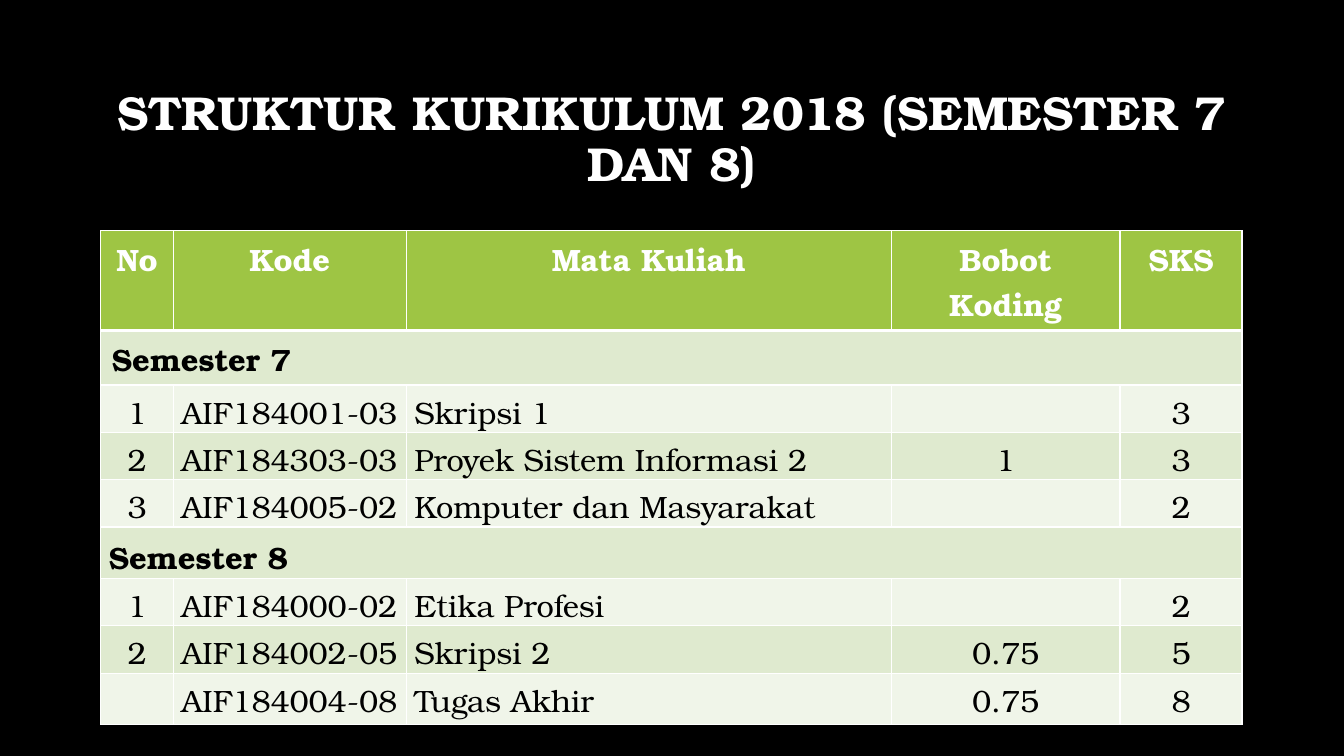
from dataclasses import dataclass

from lxml import etree
from pptx import Presentation
from pptx import util as u
from pptx.dml.color import RGBColor
from pptx.enum import text
from pptx.oxml import ns

Inches, Pt = u.Inches, u.Pt


@dataclass(frozen=True)
class Theme:
    font: str = "TeX Gyre Bonum"
    title_size: int = 34
    table_size: int = 22
    background: str = "000000"
    light: str = "FFFFFF"
    dark: str = "000000"
    header: str = "9EC544"
    bands: tuple = ("F0F5E9", "DFEACF")
    line: float = 1
    header_line: float = 3


THEME = Theme()
CENTER, LEFT = text.PP_ALIGN.CENTER, text.PP_ALIGN.LEFT

TITLE = "STRUKTUR KURIKULUM 2018 (SEMESTER 7 DAN 8)"
HEADINGS = ["No", "Kode", "Mata Kuliah", "Bobot Koding", "SKS"]
# A row with a single entry is a semester heading across the whole table.
ROWS = [
    ["Semester 7"],
    ["1", "AIF184001-03", "Skripsi 1", "", "3"],
    ["2", "AIF184303-03", "Proyek Sistem Informasi 2", "1", "3"],
    ["3", "AIF184005-02", "Komputer dan Masyarakat", "", "2"],
    ["Semester 8"],
    ["1", "AIF184000-02", "Etika Profesi", "", "2"],
    ["2", "AIF184002-05", "Skripsi 2", "0.75", "5"],
    ["", "AIF184004-08", "Tugas Akhir", "0.75", "8"],
]
COLUMN_WIDTHS = [0.72, 2.31, 4.81, 2.27, 1.21]
ROW_HEIGHTS = [0.99, 0.54, 0.47, 0.47, 0.47, 0.51, 0.47, 0.47, 0.51]
COLUMN_ALIGN = [CENTER, LEFT, LEFT, CENTER, CENTER]


def write(tf, content, size, color, bold=False, align=LEFT, spacing=1.0):
    p = tf.paragraphs[0]
    p.alignment = align
    p.line_spacing = spacing
    p.font.size = Pt(size)
    if content:
        r = p.add_run()
        r.text = content
        r.font.name = THEME.font
        r.font.size = Pt(size)
        r.font.bold = bold
        r.font.color.rgb = RGBColor.from_string(color)


def add_title(s):
    tf = s.shapes.add_textbox(Inches(1), Inches(0.67), Inches(11.32), Inches(1.45)).text_frame
    tf.word_wrap = True
    tf.vertical_anchor = text.MSO_ANCHOR.MIDDLE
    write(tf, TITLE, THEME.title_size, THEME.light, True, CENTER, 0.9)


def set_borders(cell, widths):
    """Draw left, right, top and bottom lines, given their widths in points."""
    tc_pr = cell._tc.get_or_add_tcPr()
    for side, width in zip("LRTB", widths):
        ln = etree.SubElement(tc_pr, ns.qn(f"a:ln{side}"), w=str(Pt(width)))
        fill = etree.SubElement(ln, ns.qn("a:solidFill"))
        etree.SubElement(fill, ns.qn("a:srgbClr"), val=THEME.light)


def style_cell(cell, fill, roomy=False, top=THEME.line, bottom=THEME.line):
    set_borders(cell, (THEME.line, THEME.line, top, bottom))
    cell.fill.solid()
    cell.fill.fore_color.rgb = RGBColor.from_string(fill)
    cell.margin_left = cell.margin_right = Inches(0.11 if roomy else 0.08)
    cell.margin_top = cell.margin_bottom = Inches(0.05 if roomy else 0)


def fill_header(table):
    for cell, heading in zip(table.rows[0].cells, HEADINGS):
        style_cell(cell, THEME.header, True, bottom=THEME.header_line)
        write(cell.text_frame, heading, THEME.table_size, THEME.light, True, CENTER)


def fill_row(table, index, values):
    cells = list(table.rows[index].cells)
    first = index == 1
    top = THEME.header_line if first else THEME.line
    for cell in cells:
        style_cell(cell, THEME.bands[index % 2], first, top=top)
    is_heading = len(values) == 1
    if is_heading:
        cells[0].merge(cells[-1])
    aligns = [LEFT] if is_heading else COLUMN_ALIGN
    for cell, value, align in zip(cells, values, aligns):
        write(cell.text_frame, value, THEME.table_size, THEME.dark,
              is_heading, align, 1.0 if first else 1.15)


def add_curriculum(s):
    table = s.shapes.add_table(
        len(ROW_HEIGHTS), len(HEADINGS), Inches(1), Inches(2.29),
        Inches(sum(COLUMN_WIDTHS)), Inches(sum(ROW_HEIGHTS))).table
    for column, width in zip(table.columns, COLUMN_WIDTHS):
        column.width = Inches(width)
    for row, height in zip(table.rows, ROW_HEIGHTS):
        row.height = Inches(height)
    fill_header(table)
    for index, values in enumerate(ROWS, 1):
        fill_row(table, index, values)


def main():
    prs = Presentation()
    prs.slide_width, prs.slide_height = Inches(13.33), Inches(7.5)
    s = prs.slides.add_slide(prs.slide_layouts[6])
    s.background.fill.solid()
    s.background.fill.fore_color.rgb = RGBColor.from_string(THEME.background)
    add_title(s)
    add_curriculum(s)
    prs.save("out.pptx")


if __name__ == "__main__":
    main()
